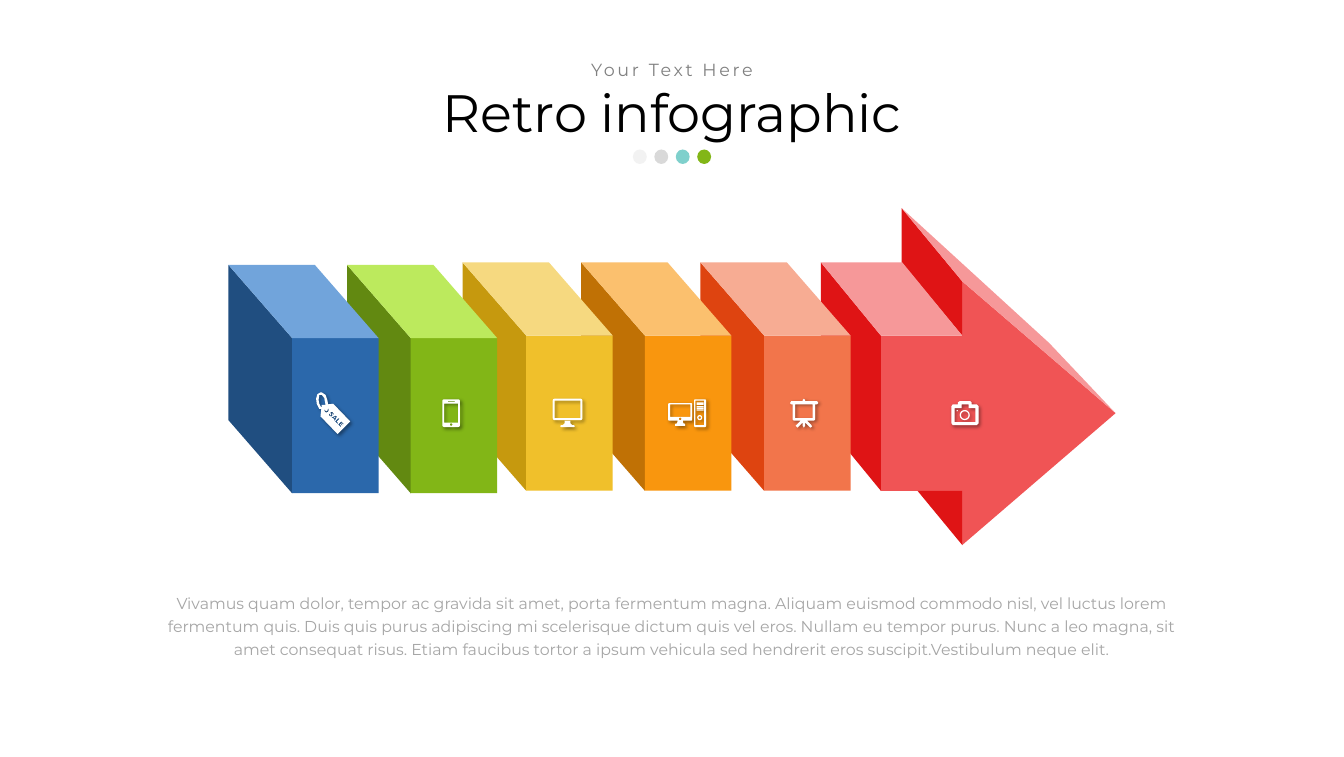
from math import cos, pi, sin

from lxml.etree import SubElement
from pptx import Presentation
from pptx.dml.color import RGBColor
from pptx.enum.shapes import MSO_SHAPE as Preset
from pptx.enum.text import MSO_ANCHOR as Anchor, PP_ALIGN as Align
from pptx.oxml.ns import qn
from pptx.util import Inches, Pt

FONT = "Montserrat"
BLACK = RGBColor(0x00, 0x00, 0x00)
GRAY = RGBColor(0x80, 0x80, 0x80)
SILVER = RGBColor(0xA6, 0xA6, 0xA6)
MIST = RGBColor(0xD9, 0xD9, 0xD9)
PALE = RGBColor(0xF2, 0xF2, 0xF2)
WHITE = RGBColor(0xFF, 0xFF, 0xFF)
TEAL = RGBColor(0x00, 0xA3, 0x9B)
# Each set holds the side, front and top colour of a block.
BLUES = RGBColor(0x20, 0x4E, 0x80), RGBColor(0x2B, 0x68, 0xAB), RGBColor(0x71, 0xA4, 0xDB)
GREENS = RGBColor(0x62, 0x89, 0x11), RGBColor(0x82, 0xB6, 0x17), RGBColor(0xBC, 0xEA, 0x5D)
YELLOWS = RGBColor(0xC6, 0x99, 0x0E), RGBColor(0xF0, 0xC0, 0x2B), RGBColor(0xF6, 0xD9, 0x80)
ORANGES = RGBColor(0xC0, 0x71, 0x05), RGBColor(0xF9, 0x96, 0x0E), RGBColor(0xFB, 0xC0, 0x6E)
CORALS = RGBColor(0xDE, 0x44, 0x10), RGBColor(0xF2, 0x75, 0x4B), RGBColor(0xF7, 0xAC, 0x93)
REDS = RGBColor(0xDF, 0x14, 0x15), RGBColor(0xF0, 0x54, 0x55), RGBColor(0xF6, 0x98, 0x99)

BLOCKS = [(3.62, 4.2, BLUES), (5.5, 4.2, GREENS), (7.33, 4.16, YELLOWS),
          (9.21, 4.16, ORANGES), (11.1, 4.16, CORALS)]
DEPTH_X, DEPTH_Y = 1.01, 1.16
FRONT_W, FRONT_H = 1.37, 2.46

BODY = ("Vivamus quam dolor, tempor ac gravida sit amet, porta fermentum magna. "
        "Aliquam euismod commodo nisl, vel luctus lorem fermentum quis. Duis quis purus "
        "adipiscing mi scelerisque dictum quis vel eros. Nullam eu tempor purus. Nunc a leo "
        "magna, sit amet consequat risus. Etiam faucibus tortor a ipsum vehicula sed "
        "hendrerit eros suscipit.Vestibulum neque elit.")


def rect(x, y, w, h):
    return [(x, y), (x + w, y), (x + w, y + h), (x, y + h)]


def arc(x, y, r, start, sweep, steps):
    angles = [start + sweep * i / steps for i in range(steps + 1)]
    return [(x + r * cos(a), y + r * sin(a)) for a in angles]


def circle(x, y, r):
    return arc(x, y, r, 0, 2 * pi, 24)


def rounded(x, y, w, h, r):
    corners = [(x + w - r, y + h - r), (x + r, y + h - r), (x + r, y + r), (x + w - r, y + r)]
    return [point for i, (cx, cy) in enumerate(corners)
            for point in arc(cx, cy, r, i * pi / 2, pi / 2, 4)]


TAG = [
    [(5.2, 6.41), (5.19, 6.35), (5.16, 6.26), (5.1, 6.22), (5.08, 6.22), (5.03, 6.25),
     (5.01, 6.32), (5.02, 6.4), (5.06, 6.48), (5.09, 6.48), (5.09, 6.46), (5.06, 6.4),
     (5.05, 6.34), (5.06, 6.26), (5.08, 6.26), (5.1, 6.26), (5.14, 6.31), (5.15, 6.37),
     (5.16, 6.42), (5.1, 6.42), (5.08, 6.6), (5.35, 6.88), (5.55, 6.68), (5.28, 6.4)],
    [(5.16, 6.47), (5.15, 6.5), (5.16, 6.51), (5.17, 6.52), (5.19, 6.51), (5.2, 6.47),
     (5.21, 6.5), (5.2, 6.53), (5.17, 6.54), (5.15, 6.53), (5.14, 6.5)],
    # The letters S, A (with its hole), L and E
    [(5.28, 6.58), (5.27, 6.56), (5.27, 6.55), (5.26, 6.55), (5.26, 6.56), (5.27, 6.58),
     (5.27, 6.59), (5.26, 6.6), (5.24, 6.6), (5.22, 6.59), (5.21, 6.57), (5.22, 6.55),
     (5.23, 6.57), (5.24, 6.59), (5.25, 6.58), (5.24, 6.55), (5.24, 6.53), (5.26, 6.53),
     (5.28, 6.54), (5.29, 6.56)],
    [(5.34, 6.6), (5.31, 6.67), (5.29, 6.66), (5.3, 6.65), (5.28, 6.63), (5.27, 6.63),
     (5.25, 6.62), (5.32, 6.59)],
    [(5.32, 6.61), (5.29, 6.62), (5.3, 6.63)],
    [(5.38, 6.64), (5.34, 6.68), (5.36, 6.71), (5.35, 6.72), (5.31, 6.68), (5.36, 6.63)],
    [(5.45, 6.72), (5.44, 6.73), (5.41, 6.7), (5.41, 6.71), (5.43, 6.74), (5.42, 6.75),
     (5.4, 6.72), (5.39, 6.73), (5.41, 6.76), (5.4, 6.77), (5.36, 6.73), (5.41, 6.68)],
]
PHONE = [rounded(7.01, 6.33, 0.28, 0.44, 0.03), rect(7.04, 6.4, 0.22, 0.3),
         circle(7.15, 6.73, 0.02), rect(7.1, 6.36, 0.11, 0.01)]
MONITOR = [
    rounded(8.76, 6.32, 0.47, 0.34, 0.03), rect(8.79, 6.35, 0.41, 0.28),
    [(8.95, 6.67), (9.04, 6.67), (9.04, 6.71), (9.07, 6.74), (9.1, 6.74), (9.11, 6.76),
     (9.1, 6.77), (8.89, 6.77), (8.88, 6.76), (8.89, 6.74), (8.92, 6.74), (8.95, 6.71)],
]
COMPUTER = [
    rounded(10.59, 6.39, 0.38, 0.28, 0.02), rect(10.62, 6.41, 0.32, 0.2),
    circle(10.78, 6.64, 0.02),
    [(10.74, 6.67), (10.82, 6.67), (10.83, 6.71), (10.86, 6.72), (10.86, 6.75),
     (10.7, 6.75), (10.7, 6.72), (10.73, 6.71)],
    rounded(11, 6.33, 0.19, 0.44, 0.02), rect(11.02, 6.35, 0.14, 0.39),
    rect(11.04, 6.38, 0.11, 0.04), rect(11.04, 6.44, 0.11, 0.01),
    rect(11.04, 6.46, 0.11, 0.02), rect(11.04, 6.49, 0.11, 0.02),
    circle(11.09, 6.62, 0.04), circle(11.09, 6.62, 0.02),
]
EASEL = [
    [(12.54, 6.36), (12.72, 6.36), (12.72, 6.34), (12.74, 6.32), (12.76, 6.34),
     (12.76, 6.36), (12.95, 6.36), (12.97, 6.39), (12.95, 6.41), (12.92, 6.41),
     (12.92, 6.65), (12.9, 6.67), (12.79, 6.67), (12.86, 6.74), (12.87, 6.76),
     (12.85, 6.78), (12.83, 6.77), (12.76, 6.7), (12.76, 6.75), (12.74, 6.78),
     (12.72, 6.75), (12.72, 6.7), (12.65, 6.77), (12.64, 6.78), (12.61, 6.75),
     (12.62, 6.74), (12.69, 6.67), (12.58, 6.67), (12.56, 6.65), (12.56, 6.41),
     (12.54, 6.41), (12.52, 6.39)],
    rect(12.6, 6.41, 0.28, 0.22),
]
CAMERA = [
    [(15.1, 6.41), (15.18, 6.41), (15.18, 6.38), (15.21, 6.36), (15.38, 6.36),
     (15.4, 6.38), (15.4, 6.41), (15.48, 6.41), (15.51, 6.44), (15.51, 6.71),
     (15.48, 6.74), (15.1, 6.74), (15.08, 6.71), (15.08, 6.44)],
    [(15.13, 6.47), (15.24, 6.47), (15.24, 6.41), (15.35, 6.41), (15.35, 6.47),
     (15.46, 6.47), (15.46, 6.69), (15.13, 6.69)],
    circle(15.29, 6.58, 0.08), circle(15.29, 6.58, 0.06), circle(15.17, 6.51, 0.01),
]


def paint(shape, color, alpha=100):
    shape.shadow.inherit = False
    shape.line.fill.background()
    shape.fill.solid()
    shape.fill.fore_color.rgb = color
    if alpha < 100:
        tint = shape._element.spPr.find(".//" + qn("a:srgbClr"))
        SubElement(tint, qn("a:alpha"), val=str(alpha * 1000))


def add_outline(group, color, *contours):
    """Draw closed contours as one shape; inner contours become holes."""
    contours = [[(Inches(x), Inches(y)) for x, y in points] for points in contours]
    builder = group.shapes.build_freeform(*contours[0][0], scale=1.0)
    builder.add_line_segments(contours[0][1:], close=True)
    for points in contours[1:]:
        builder.move_to(*points[0])
        builder.add_line_segments(points[1:], close=True)
    shape = builder.convert_to_shape()
    paint(shape, color)
    return shape


def add_icon(group, contours):
    icon = add_outline(group, WHITE, *contours)
    effects = icon._element.spPr.find(qn("a:effectLst"))
    shadow = SubElement(effects, qn("a:outerShdw"), blurRad=str(Pt(4)), dist=str(Pt(3)),
                        dir="2700000", algn="tl", rotWithShape="0")
    color = SubElement(shadow, qn("a:srgbClr"), val="000000")
    SubElement(color, qn("a:alpha"), val="40000")


def add_block(group, left, top, colors):
    side, front, lid = colors
    x, y = left + DEPTH_X, top + DEPTH_Y
    add_outline(group, side, [(x, y + FRONT_H), (left, top + FRONT_H), (left, top), (x, y)])
    face = group.shapes.add_shape(Preset.RECTANGLE, Inches(x), Inches(y),
                                  Inches(FRONT_W), Inches(FRONT_H))
    paint(face, front)
    add_outline(group, lid, [(left, top), (x, y), (x + FRONT_W, y), (left + FRONT_W, top)])


def add_arrow(group):
    side, front, lid = REDS
    add_outline(group, front, [(15.25, 5.32), (13.96, 5.32), (13.96, 7.78), (15.25, 7.78),
                               (15.25, 8.64), (17.68, 6.55), (15.25, 4.46)])
    add_outline(group, side, [(15.25, 8.64), (14.54, 7.78), (15.25, 7.78)])
    add_outline(group, side, [(15.25, 5.32), (15.25, 4.46), (14.29, 3.3), (14.29, 4.16)])
    add_outline(group, lid, [(16.63, 5.44), (17.68, 6.55), (15.25, 4.46), (14.29, 3.3)])
    add_outline(group, side, [(13.96, 7.78), (13.01, 6.62), (13.01, 4.16), (13.96, 5.32)])
    add_outline(group, lid, [(13.01, 4.16), (13.96, 5.32), (15.25, 5.32), (14.3, 4.16)])


def set_text(box, text, size, color, spacing, anchor=Anchor.MIDDLE):
    frame = box.text_frame
    frame.word_wrap = True
    frame.vertical_anchor = anchor
    para = frame.paragraphs[0]
    para.text = text
    para.alignment = Align.CENTER
    para.line_spacing = spacing
    para.font.name, para.font.size, para.font.color.rgb = FONT, Pt(size), color
    return para


def add_text(slide, left, top, width, height, *style):
    box = slide.shapes.add_textbox(Inches(left), Inches(top), Inches(width), Inches(height))
    return set_text(box, *style)


def main():
    deck = Presentation()
    deck.slide_width, deck.slide_height = Inches(21.3), Inches(12)
    slide = deck.slides.add_slide(deck.slide_layouts[5])

    title = slide.shapes.title
    title.left, title.top = Inches(1.02), Inches(1.31)
    title.width, title.height = Inches(19.26), Inches(1.03)
    set_text(title, "Retro infographic", 60, BLACK, 0.9)
    subtitle = add_text(slide, 7.48, 0.95, 6.34, 0.35, "Your Text Here", 20, GRAY, 0.9)
    subtitle.runs[0]._r.get_or_add_rPr().set("spc", "300")

    dots = slide.shapes.add_group_shape()
    for i, (color, alpha) in enumerate([(PALE, 100), (MIST, 98), (TEAL, 50), (GREENS[1], 100)]):
        dot = dots.shapes.add_shape(Preset.OVAL, Inches(10.03 + 0.34 * i), Inches(2.37),
                                    Inches(0.22), Inches(0.23))
        paint(dot, color, alpha)

    add_text(slide, 2.52, 9.31, 16.25, 1.19, BODY, 18, SILVER, 1.2, Anchor.TOP)

    graphic = slide.shapes.add_group_shape()
    add_arrow(graphic)
    for left, top, colors in reversed(BLOCKS):
        add_block(graphic, left, top, colors)
    for contours in (MONITOR, TAG, COMPUTER, PHONE, EASEL, CAMERA):
        add_icon(graphic, contours)

    deck.save("out.pptx")


if __name__ == "__main__":
    main()
